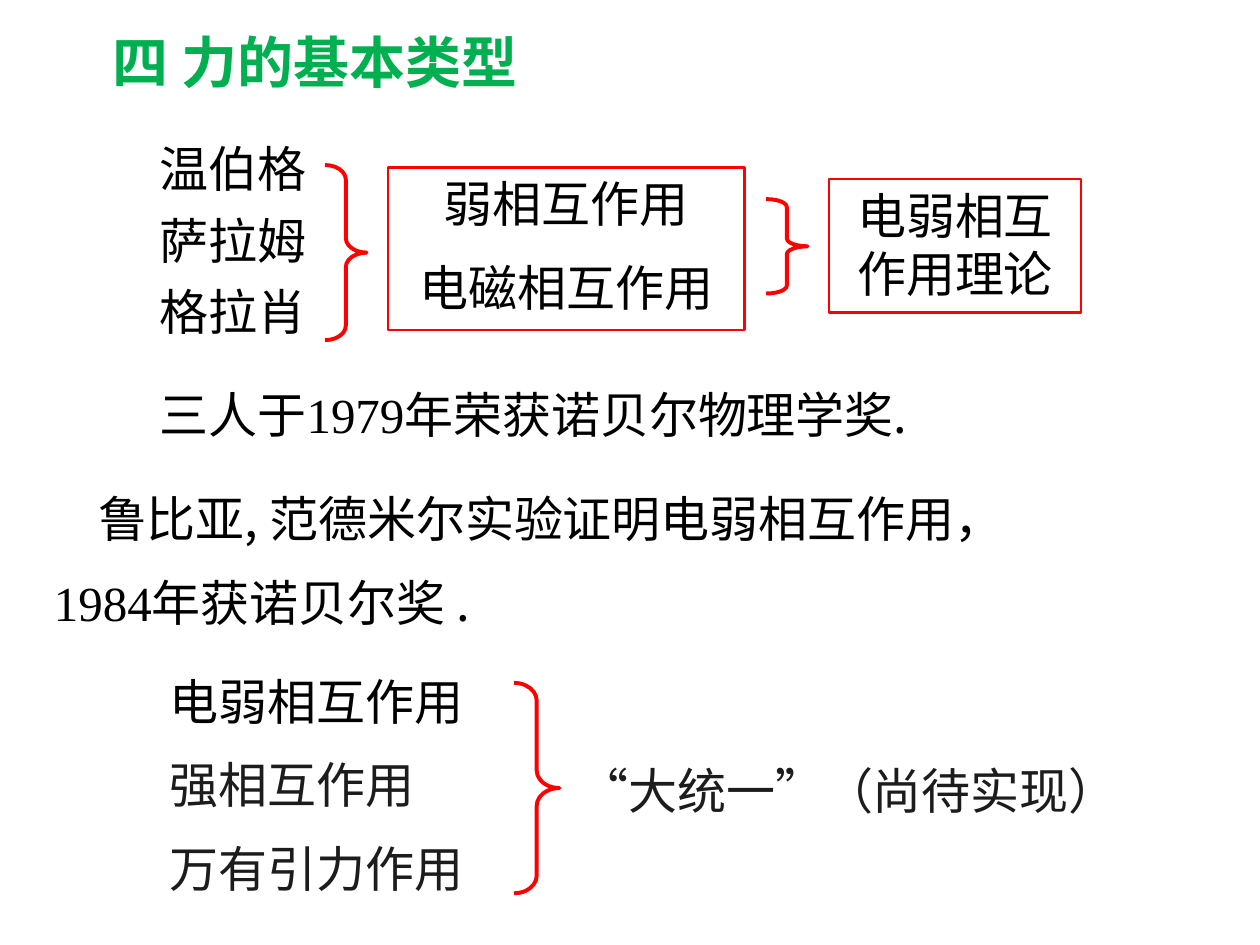
"""Build the slide on the basic types of force."""
from pptx import Presentation
from pptx.dml.color import RGBColor
from pptx.enum.lang import MSO_LANGUAGE_ID as Lang
from pptx.enum.shapes import MSO_SHAPE as Shape
from pptx.enum.text import MSO_ANCHOR as Anchor, PP_ALIGN as Align
from pptx.util import Inches, Pt
from lxml import etree

BLACK = RGBColor(0x00, 0x00, 0x00)
DARK = RGBColor(0x1C, 0x1C, 0x1C)
RED = RGBColor(0xFF, 0x00, 0x00)
GREEN = RGBColor(0x00, 0xB0, 0x50)
HAN = "Noto Sans CJK SC"
ROMAN = "Times New Roman"
NS = "{http://schemas.openxmlformats.org/drawingml/2006/main}"


def write(shape, lines, size=28, bold=False, align=Align.LEFT, gap=0.5, lead=1.0):
    frame = shape.text_frame
    frame.word_wrap = True
    frame.vertical_anchor = Anchor.TOP
    for i, runs in enumerate(lines):
        para = frame.add_paragraph() if i else frame.paragraphs[0]
        para.alignment = align
        para.line_spacing = lead
        para.space_before = Pt(size * gap)
        for text, color in runs:
            run = para.add_run()
            run.text = text
            font = run.font
            font.size = Pt(size)
            font.bold = bold
            font.color.rgb = color
            font.name = ROMAN if text.isdigit() else HAN
            font.language_id = Lang.SIMPLIFIED_CHINESE
            east = etree.SubElement(font._element, NS + "ea")
            east.set("typeface", HAN)


def outline(kind, box, width):
    shape = page.shapes.add_shape(kind, *map(Inches, box))
    shape.shadow.inherit = False
    shape.fill.background()
    shape.line.color.rgb = RED
    shape.line.width = Pt(width)
    return shape


deck = Presentation()
deck.slide_width, deck.slide_height = Inches(10), Inches(7.5)
page = deck.slides.add_slide(deck.slide_layouts[6])

title = page.shapes.add_textbox(Inches(0.5), Inches(0.17), Inches(4), Inches(0.64))
write(title, [[("四 力的基本类型", GREEN)]], size=32, bold=True, align=Align.CENTER)

names = page.shapes.add_textbox(Inches(1.17), Inches(1.14), Inches(2), Inches(1.69))
write(names, [[(name, BLACK)] for name in ("温伯格", "萨拉姆", "格拉肖")], lead=0.8)

for box, words, gap in (
    ((3.08, 1.33, 2.83, 1.29), ("弱相互作用", "电磁相互作用"), 0.5),
    ((6.58, 1.42, 2, 1.06), ("电弱相互", "作用理论"), 0),
):
    frame = outline(Shape.RECTANGLE, box, 1.5)
    write(frame, [[(word, BLACK)] for word in words], align=Align.CENTER, gap=gap)

for box, curl in (
    ((2.58, 1.31, 0.33, 1.39), 0.35),
    ((6.08, 1.58, 0.33, 0.75), 0.19),
    ((4.08, 5.42, 0.36, 1.67), 0.39),
):
    brace = outline(Shape.RIGHT_BRACE, box, 2.25)
    brace.adjustments[0] = curl
    brace.adjustments[1] = 0.5

prize = page.shapes.add_textbox(Inches(1.17), Inches(3), Inches(7), Inches(0.57))
write(prize, [[("三人于", BLACK), ("1979", BLACK), ("年荣获诺贝尔物理学奖.", BLACK)]])

proof = page.shapes.add_textbox(Inches(0.33), Inches(3.83), Inches(9.08), Inches(1.27))
write(proof, [
    [("鲁比亚, 范德米尔实验证明电弱相互作用，", BLACK)],
    [("1984", BLACK), ("年获诺贝尔奖 .", BLACK)],
])
proof.text_frame.paragraphs[0]._p.get_or_add_pPr().set("indent", str(Inches(0.35)))

forces = page.shapes.add_textbox(Inches(1.25), Inches(5.28), Inches(3.25), Inches(1.97))
write(forces, [
    [("电弱相互作用", BLACK)],
    [("强相互作用", DARK)],
    [("万有引力作用", DARK)],
])

union = page.shapes.add_textbox(Inches(4.5), Inches(5.99), Inches(4.48), Inches(0.57))
write(union, [[("“大统一”（尚待实现）", DARK)]])

deck.save("out.pptx")
